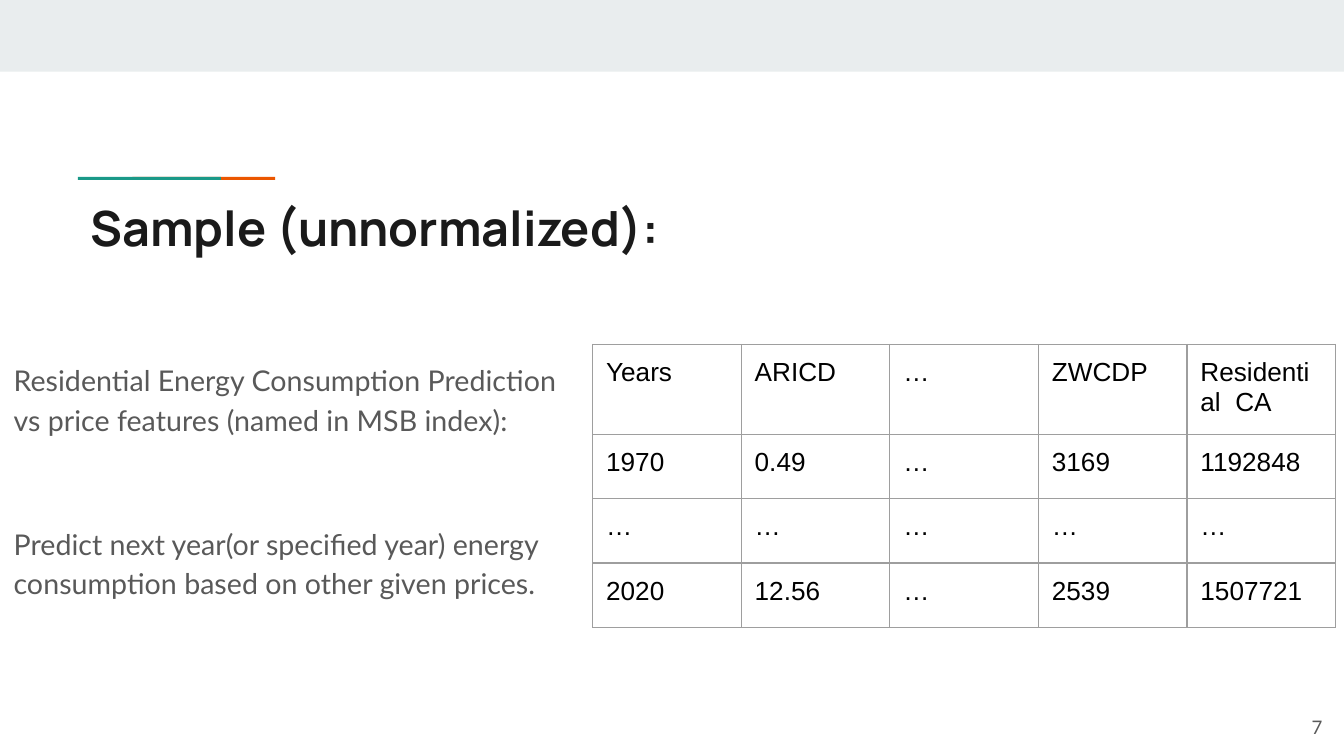
from dataclasses import dataclass

from lxml import etree
from pptx import Presentation
from pptx import util as u
from pptx.dml.color import RGBColor
from pptx.enum import shapes, text
from pptx.oxml.ns import qn

Pt = u.Pt


@dataclass(frozen=True)
class Theme:
    band: str = "E9EDEE"
    teal: str = "1A9988"
    orange: str = "EB5600"
    title: str = "1A1A1A"
    body: str = "595959"
    cell: str = "000000"
    border: str = "9E9E9E"
    title_size: float = 26
    body_size: float = 15.3
    cell_size: float = 14
    number_size: float = 10
    inset: float = 7.2


class Deck:
    def __init__(self, theme):
        self.t = theme
        self.prs = Presentation()
        self.prs.slide_width, self.prs.slide_height = Pt(720), Pt(405)
        self.s = self.prs.slides.add_slide(self.prs.slide_layouts[6])

    def bar(self, x, y, w, h, color):
        sp = self.s.shapes.add_shape(
            shapes.MSO_SHAPE.RECTANGLE, Pt(x), Pt(y), Pt(w), Pt(h))
        sp.shadow.inherit = False
        sp.fill.solid()
        sp.fill.fore_color.rgb = RGBColor.from_string(color)
        sp.line.fill.background()

    def style(self, p, font, size, color, bold=False):
        p.font.name, p.font.size, p.font.bold = font, Pt(size), bold
        p.font.color.rgb = RGBColor.from_string(color)

    def text(self, x, y, w, h, lines, font, size, color, bold=False,
             align=text.PP_ALIGN.LEFT, anchor=text.MSO_ANCHOR.TOP,
             spacing=1.0, gap=0):
        tf = self.s.shapes.add_textbox(Pt(x), Pt(y), Pt(w), Pt(h)).text_frame
        tf.word_wrap = True
        tf.vertical_anchor = anchor
        tf.margin_left = tf.margin_right = Pt(self.t.inset)
        tf.margin_top = tf.margin_bottom = Pt(self.t.inset)
        for i, line in enumerate(lines):
            p = tf.paragraphs[0] if i == 0 else tf.add_paragraph()
            p.text, p.alignment, p.line_spacing = line, align, spacing
            p.space_before = Pt(gap if i else 0)
            self.style(p, font, size, color, bold)

    def table(self, x, y, col_width, row_heights, rows):
        cols = len(rows[0])
        table = self.s.shapes.add_table(
            len(rows), cols, Pt(x), Pt(y),
            Pt(col_width * cols), Pt(sum(row_heights))).table
        table.first_row = table.horz_banding = False
        for col in table.columns:
            col.width = Pt(col_width)
        for row, height, values in zip(table.rows, row_heights, rows):
            row.height = Pt(height)
            for cell, value in zip(row.cells, values):
                self.cell(cell, value)

    def cell(self, cell, value):
        cell.margin_left = cell.margin_right = Pt(self.t.inset)
        cell.margin_top = cell.margin_bottom = Pt(self.t.inset)
        cell.text = value
        self.style(cell.text_frame.paragraphs[0], "Arial",
                   self.t.cell_size, self.t.cell)
        # Borders must come before the fill in the cell properties
        pr = cell._tc.get_or_add_tcPr()
        for side in ("a:lnL", "a:lnR", "a:lnT", "a:lnB"):
            ln = etree.SubElement(pr, qn(side), w=str(Pt(0.75)))
            fill = etree.SubElement(ln, qn("a:solidFill"))
            etree.SubElement(fill, qn("a:srgbClr"), val=self.t.border)
        cell.fill.background()


def main():
    t = Theme()
    deck = Deck(t)

    # Top band, then the accent line: teal overlaps the orange bar
    deck.bar(0, 0, 720, 38.4, t.band)
    deck.bar(70.9, 94.8, 76.6, 1.6, t.orange)
    deck.bar(41.8, 94.8, 76.6, 1.6, t.teal)

    # Title
    deck.text(41.3, 99, 411, 108.7, ["Sample (unnormalized):"],
              "Manrope", t.title_size, t.title, bold=True)

    # Description
    deck.text(0.2, 184.7, 317.4, 152, [
        "Residential Energy Consumption Prediction vs price features "
        "(named in MSB index):",
        "Predict next year(or specified year) energy consumption based on "
        "other given prices.",
    ], "Lato", t.body_size, t.body, spacing=1.15, gap=45.2)

    # Sample data
    deck.table(317.5, 184.6, 79.6, [48.1, 34.5, 34.5, 34.5], [
        ["Years", "ARICD", "…", "ZWCDP", "Residential  CA"],
        ["1970", "0.49", "…", "3169", "1192848"],
        ["…"] * 5,
        ["2020", "12.56", "…", "2539", "1507721"],
    ])

    # Slide number
    deck.text(672.3, 373.9, 43.2, 31, ["7"], "Lato", t.number_size, t.body,
              align=text.PP_ALIGN.RIGHT, anchor=text.MSO_ANCHOR.MIDDLE)

    deck.prs.save("out.pptx")


if __name__ == "__main__":
    main()
